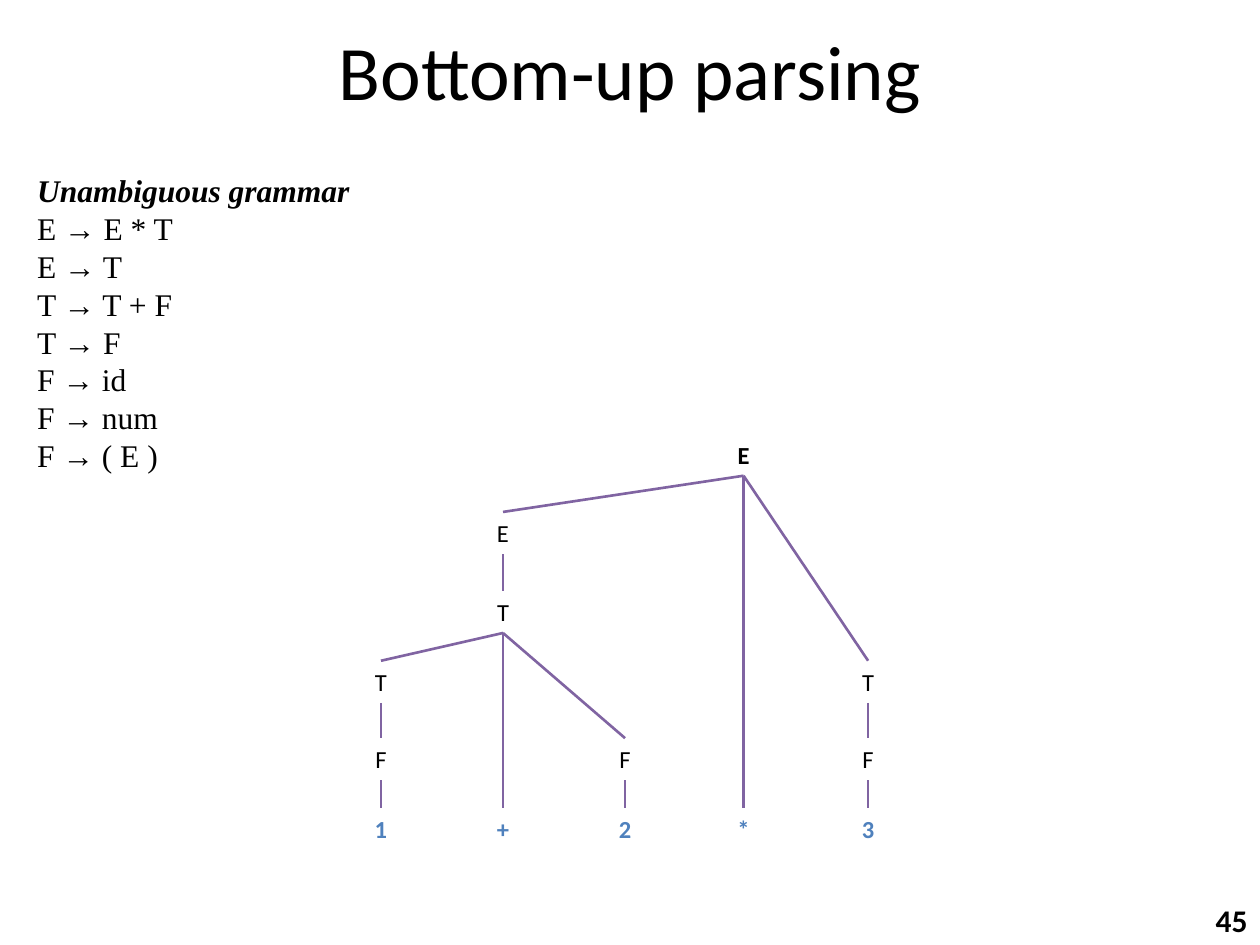
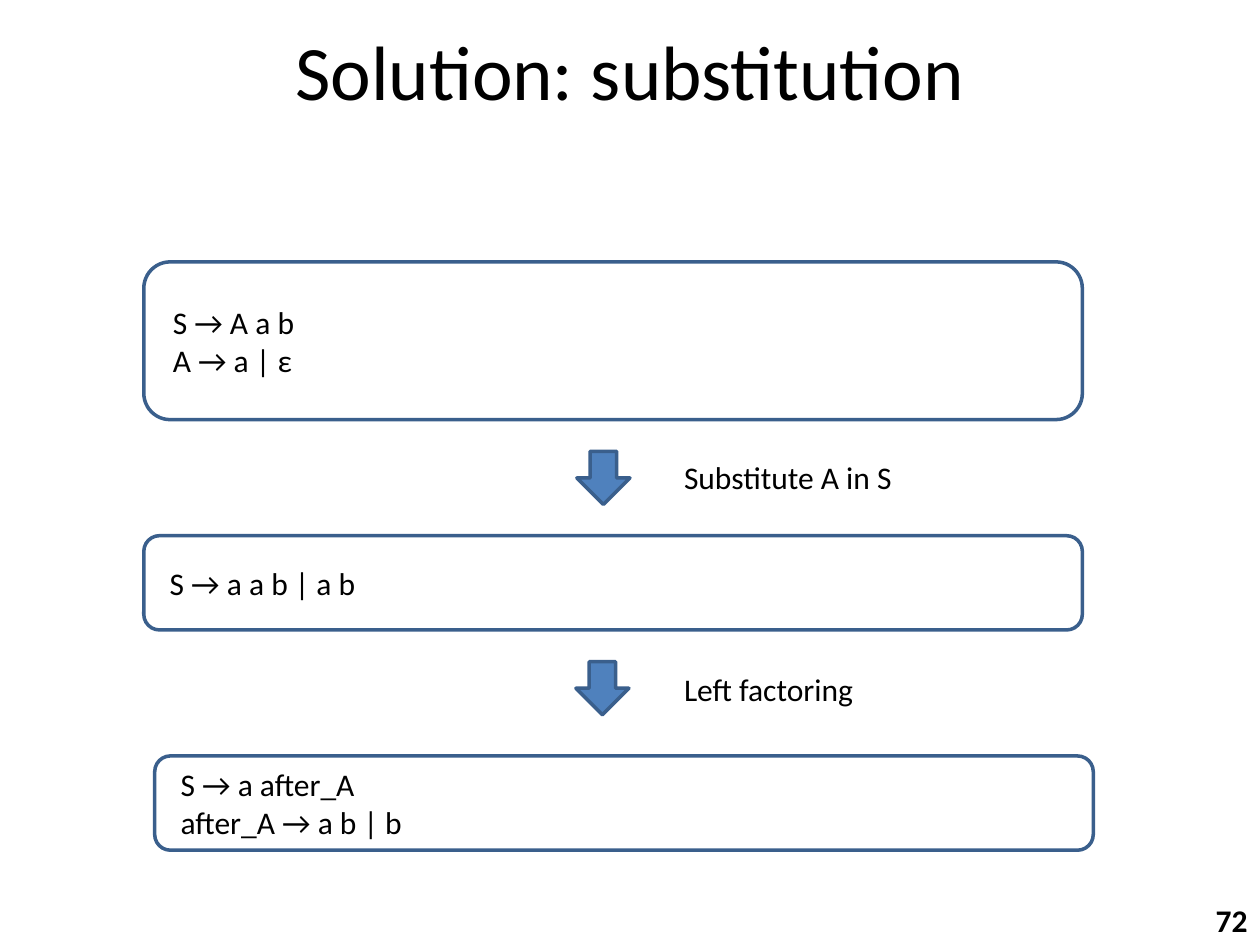
import pptx
import pptx.util
import pptx.dml.color
import pptx.enum.shapes
import pptx.enum.text
import pptx.oxml.ns
import lxml.etree

Cm = pptx.util.Cm
SHAPES = pptx.enum.shapes.MSO_SHAPE
ALIGN = pptx.enum.text.PP_ALIGN
ANCHOR = pptx.enum.text.MSO_ANCHOR
AUTO_SIZE = pptx.enum.text.MSO_AUTO_SIZE
COLORS = {"text": "000000", "accent": "4F81BD", "outline": "3A5F8C",
          "branch": "8064A2", "background": "FFFFFF"}
RGB = {name: pptx.dml.color.RGBColor.from_string(value) for name, value in COLORS.items()}


def write_text(box, text, size=18, font="Calibri", color="text", bold=False,
               align=ALIGN.LEFT, anchor=ANCHOR.TOP, wrap=True, grow=False,
               margin=0, indent=0):
    """Fill a box with one paragraph per line of text."""
    frame = box.text_frame
    frame.text = text
    frame.word_wrap = wrap
    frame.vertical_anchor = anchor
    frame.auto_size = AUTO_SIZE.SHAPE_TO_FIT_TEXT if grow else AUTO_SIZE.NONE
    for para in frame.paragraphs:
        para.alignment = align
        if margin:
            properties = para._p.get_or_add_pPr()
            properties.set("marL", str(Cm(margin)))
            properties.set("indent", str(Cm(indent)))
        for span in para.runs:
            span.font.size = pptx.util.Pt(size)
            span.font.name = font
            span.font.bold = bold
            span.font.color.rgb = RGB[color]
    return frame


deck = pptx.Presentation()
deck.slide_width = Cm(25.4)
deck.slide_height = Cm(19.05)

# Shared background, title and page number
pages = []
for title, number in [("Bottom-up parsing", "45"), ("Solution: substitution", "72")]:
    page = deck.slides.add_slide(deck.slide_layouts.get_by_name("Title Only"))
    page.background.fill.solid()
    page.background.fill.fore_color.rgb = RGB["background"]
    heading = page.shapes.title
    heading.left, heading.top = Cm(1.27), Cm(0.33)
    heading.width, heading.height = Cm(22.86), Cm(2.16)
    write_text(heading, title, size=44, align=ALIGN.CENTER, anchor=ANCHOR.MIDDLE)
    number_box = page.shapes.add_textbox(Cm(24.1), Cm(18.03), Cm(1.3), Cm(1.02))
    write_text(number_box, number, bold=True, align=ALIGN.RIGHT)
    pages.append(page)
parsing_page, substitution_page = pages

# Grammar rules
grammar = """Unambiguous grammar
E → E * T
E → T
T → T + F
T → F
F → id
F → num
F → ( E )"""
grammar_box = parsing_page.shapes.add_textbox(Cm(0.5), Cm(3.33), Cm(7.6), Cm(6.35))
frame = write_text(grammar_box, grammar, font="Times New Roman", grow=True,
                   margin=1.27, indent=-1.27)
grammar_title = frame.paragraphs[0].runs[0].font
grammar_title.bold = grammar_title.italic = True

# Parse tree: name -> (label, centre, top, parent)
NODE_WIDTH, NODE_HEIGHT = 0.76, 0.85
one, plus, two, times, three = 7.68, 10.14, 12.6, 14.99, 17.5
root_row, sum_row, term_row, low_row, factor_row, leaf_row = 8.74, 10.32, 11.91, 13.32, 14.88, 16.28
tree = {
    "root": ("E", times, root_row, None),
    "sum": ("E", plus, sum_row, "root"),
    "sum term": ("T", plus, term_row, "sum"),
    "left term": ("T", one, low_row, "sum term"),
    "right term": ("T", three, low_row, "root"),
    "left factor": ("F", one, factor_row, "left term"),
    "middle factor": ("F", two, factor_row, "sum term"),
    "right factor": ("F", three, factor_row, "right term"),
    "one": ("1", one, leaf_row, "left factor"),
    "plus": ("+", plus, leaf_row, "sum term"),
    "two": ("2", two, leaf_row, "middle factor"),
    "times": ("*", times, leaf_row, "root"),
    "three": ("3", three, leaf_row, "right factor"),
}
for label, center, top, parent in tree.values():
    is_leaf = top == leaf_row
    node = parsing_page.shapes.add_textbox(Cm(center - NODE_WIDTH / 2), Cm(top),
                                           Cm(NODE_WIDTH), Cm(NODE_HEIGHT))
    write_text(node, label, size=14, color="accent" if is_leaf else "text",
               bold=is_leaf or parent is None, align=ALIGN.CENTER, wrap=False, grow=True)
    if parent:
        parent_center, parent_top = tree[parent][1:3]
        branch = parsing_page.shapes.add_connector(
            pptx.enum.shapes.MSO_CONNECTOR.STRAIGHT, Cm(parent_center),
            Cm(parent_top + NODE_HEIGHT), Cm(center), Cm(top))
        branch.line.color.rgb = RGB["branch"]
        branch.line.width = pptx.util.Pt(1.5)
        lxml.etree.SubElement(branch._element.spPr, pptx.oxml.ns.qn("a:effectLst"))

# Grammar boxes and the arrows between them
steps = [
    (SHAPES.ROUNDED_RECTANGLE, 2.9, 5.28, 18.92, 3.18, "S → A a b\nA → a | ε"),
    (SHAPES.DOWN_ARROW, 11.63, 9.1, 1.07, 1.07, ""),
    (SHAPES.ROUNDED_RECTANGLE, 2.9, 10.8, 18.92, 1.9, "S → a a b | a b"),
    (SHAPES.DOWN_ARROW, 11.61, 13.34, 1.07, 1.07, ""),
    (SHAPES.ROUNDED_RECTANGLE, 3.12, 15.24, 18.92, 1.9, "S → a after_A\nafter_A → a b | b"),
]
for kind, left, top, width, height, rules in steps:
    step = substitution_page.shapes.add_shape(kind, Cm(left), Cm(top), Cm(width), Cm(height))
    step.shadow.inherit = False
    step.line.color.rgb = RGB["outline"]
    step.line.width = pptx.util.Pt(2)
    if rules:
        step.fill.background()
        write_text(step, rules, anchor=ANCHOR.MIDDLE, margin=0.18)
    else:
        step.fill.solid()
        step.fill.fore_color.rgb = RGB["accent"]

# Arrow captions
for caption, top, width in [("Substitute A in S", 9.1, 4.85), ("Left factoring", 13.39, 4.14)]:
    caption_box = substitution_page.shapes.add_textbox(Cm(13.54), Cm(top), Cm(width), Cm(1.02))
    write_text(caption_box, caption, wrap=False, grow=True)

deck.save("out.pptx")
